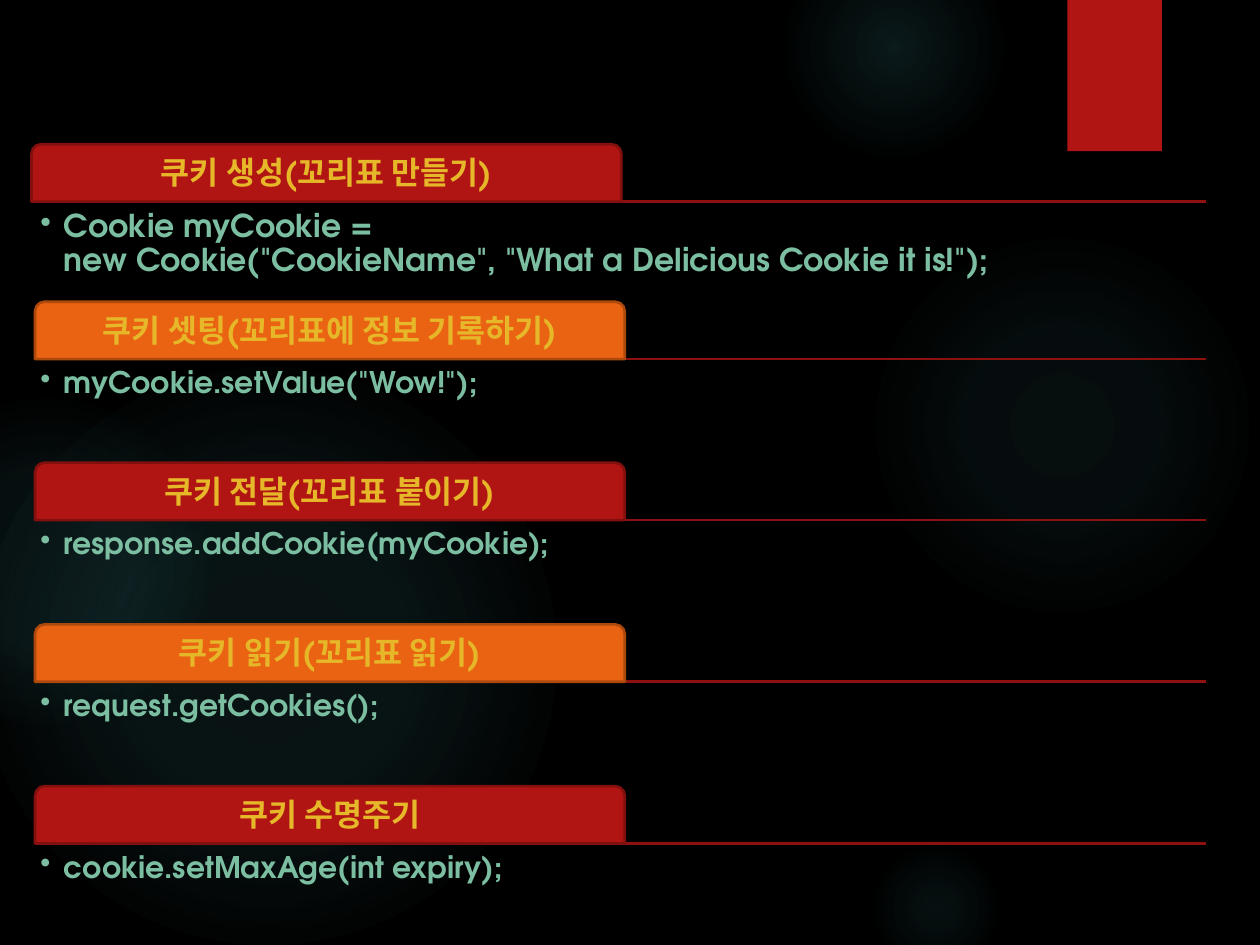
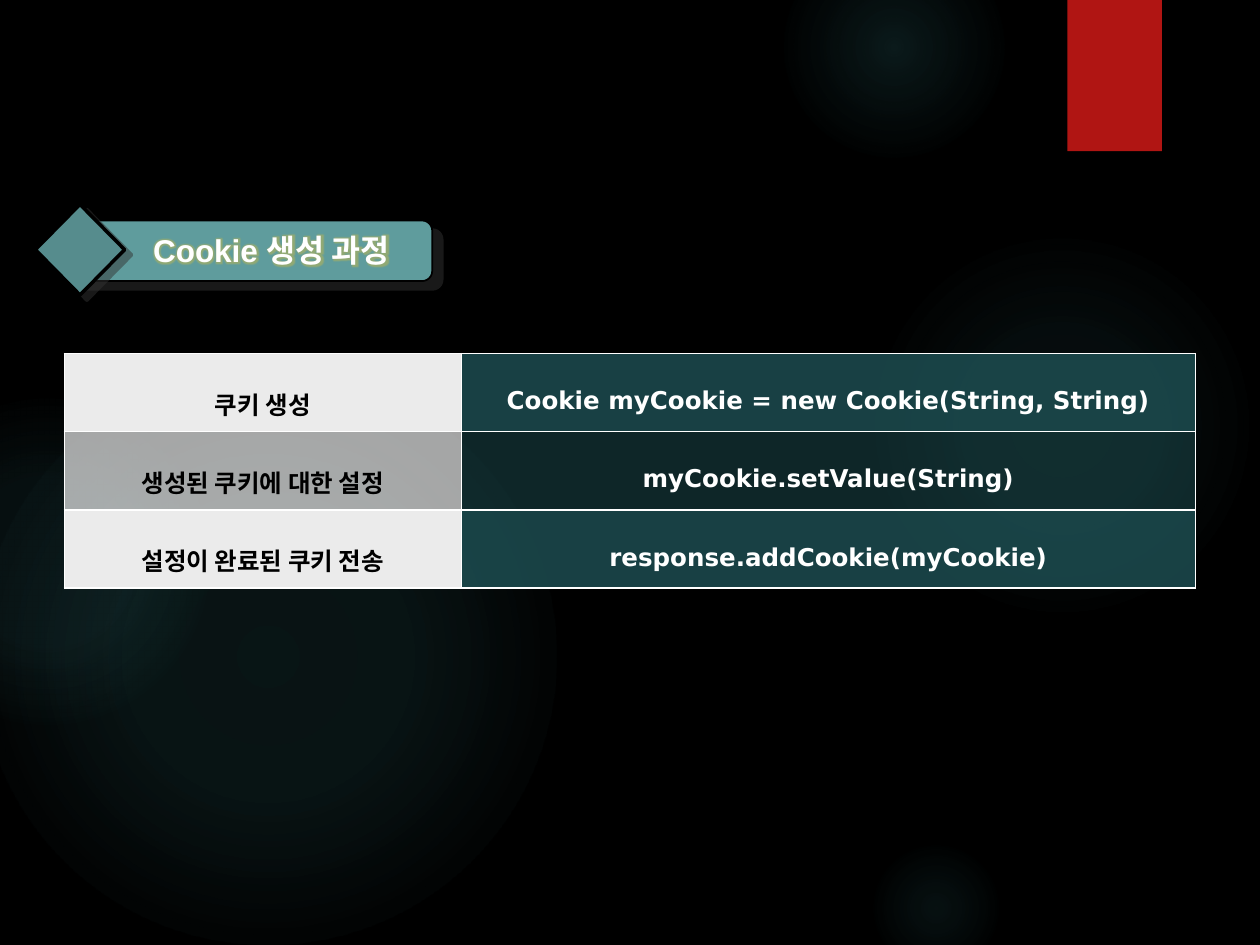
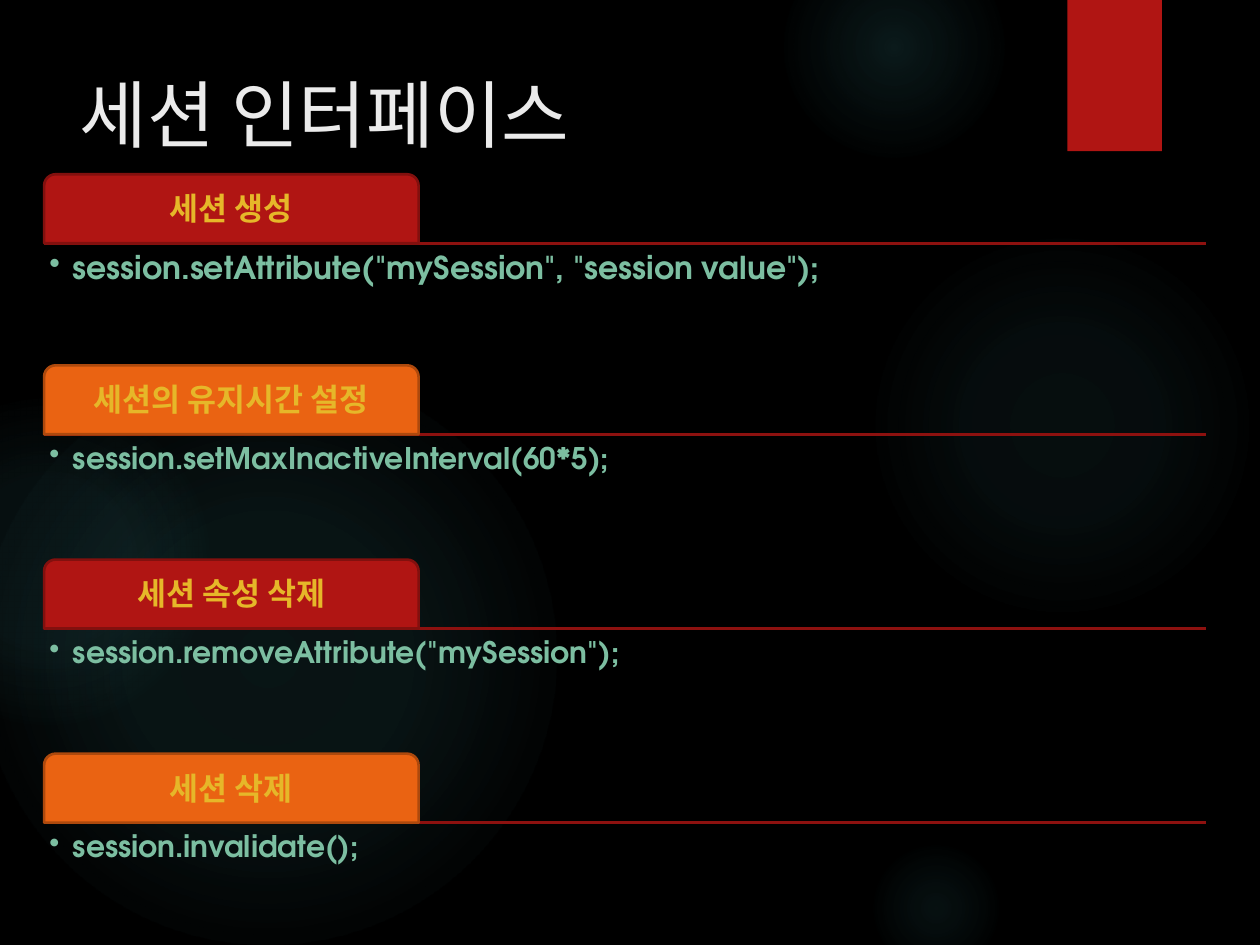
"""Build three dark slides about cookie and session calls."""
from dataclasses import dataclass
from itertools import cycle

from pptx import Presentation
from pptx.dml.color import RGBColor
from pptx.enum.shapes import MSO_CONNECTOR as Connector, MSO_SHAPE as Preset
from pptx.enum.text import MSO_ANCHOR as Anchor, MSO_AUTO_SIZE as AutoSize, PP_ALIGN as Align
from pptx.oxml import parse_xml
from pptx.oxml.ns import nsdecls, qn
from pptx.util import Pt


@dataclass(frozen=True)
class Theme:
    background: str = "000000"
    glow: str = "50B9C1"
    red: str = "B01513"
    red_edge: str = "82100E"
    orange: str = "EA6312"
    orange_edge: str = "AD490D"
    rule: str = "8D110F"
    label: str = "E6B729"
    code: str = "7CBEA1"
    light: str = "EBEBEB"
    white: str = "FFFFFF"
    black: str = "000000"
    teal: str = "1E5155"
    banner: str = "5F9C9D"
    diamond: str = "568C8D"
    shadow: str = "333333"
    text_glow: str = "B4B45A"
    display_font: str = "TeX Gyre Adventor"
    table_font: str = "DejaVu Sans"
    banner_font: str = "Arial"
    title_size: float = 42
    label_size: float = 18
    code_size: float = 17
    table_size: float = 14


THEME = Theme()


@dataclass(frozen=True)
class Box:
    left: float
    top: float
    width: float
    height: float

    def lengths(self) -> tuple:
        return Pt(self.left), Pt(self.top), Pt(self.width), Pt(self.height)


@dataclass(frozen=True)
class Glow:
    left: float
    top: float
    size: float
    stops: tuple


@dataclass(frozen=True)
class Section:
    rule_top: float
    label: str
    code: str
    code_size: float = THEME.code_size
    shift: float = 0


@dataclass(frozen=True)
class SectionGrid:
    left: float
    right: float
    tab_width: float
    tab_height: float
    code_height: float


GLOWS = (
    Glow(496, 132, 222, ((0, 7), (36, 6), (69, 0))),
    Glow(448, -36, 126, ((0, 14), (36, 7), (73, 0))),
    Glow(496, 480, 78, ((0, 9), (36, 5), (66, 0))),
    Glow(-12, 210, 330, ((0, 11), (36, 10), (75, 0))),
    Glow(-66, 228, 186, ((0, 8), (36, 8), (72, 0))),
)
COOKIE_GRID = SectionGrid(20, 689, 337, 32.8, 57.6)
COOKIE_SECTIONS = (
    Section(115.2, "쿠키 생성(꼬리표 만들기)",
            'Cookie myCookie = \vnew Cookie("CookieName", "What a Delicious Cookie it is!");',
            18, -2),
    Section(205.2, "쿠키 셋팅(꼬리표에 정보 기록하기)", 'myCookie.setValue("Wow!");'),
    Section(297.2, "쿠키 전달(꼬리표 붙이기)", "response.addCookie(myCookie);"),
    Section(389.6, "쿠키 읽기(꼬리표 읽기)", "request.getCookies();"),
    Section(482, "쿠키 수명주기", "cookie.setMaxAge(int expiry);"),
)
SESSION_GRID = SectionGrid(25.2, 689, 214, 39.4, 69.8)
SESSION_SECTIONS = (
    Section(139, "세션 생성", 'session.setAttribute("mySession", "session value");', 18),
    Section(248.2, "세션의 유지시간 설정", "session.setMaxInactiveInterval(60*5);"),
    Section(359.2, "세션 속성 삭제", 'session.removeAttribute("mySession");'),
    Section(470.1, "세션 삭제", "session.invalidate();"),
)
STEPS = (
    ("쿠키 생성", "Cookie myCookie = new Cookie(String, String)"),
    ("생성된 쿠키에 대한 설정", "myCookie.setValue(String)"),
    ("설정이 완료된 쿠키 전송", "response.addCookie(myCookie)"),
)


def rgb(color: str) -> RGBColor:
    return RGBColor.from_string(color)


def style_text(para, font: str, size: float, color: str, bold: bool = True) -> None:
    for span in para.runs:
        span.font.name = font
        span.font.size = Pt(size)
        span.font.bold = bold
        span.font.color.rgb = rgb(color)


def set_margins(frame, margin: float) -> None:
    frame.margin_left = frame.margin_right = Pt(margin)
    frame.margin_top = frame.margin_bottom = Pt(margin)


def add_panel(page, preset, box: Box, fill: str, edge: str = "", edge_width: float = 1.5):
    shape = page.shapes.add_shape(preset, *box.lengths())
    shape.shadow.inherit = False
    shape.fill.solid()
    shape.fill.fore_color.rgb = rgb(fill)
    if edge:
        shape.line.color.rgb = rgb(edge)
        shape.line.width = Pt(edge_width)
    else:
        shape.line.fill.background()
    return shape


def add_glow(page, glow: Glow):
    shape = page.shapes.add_shape(Preset.OVAL, *Box(glow.left, glow.top, glow.size, glow.size).lengths())
    shape.shadow.inherit = False
    shape.line.fill.background()
    stops = "".join(
        f'<a:gs pos="{place * 1000}"><a:srgbClr val="{THEME.glow}">'
        f'<a:alpha val="{alpha * 1000}"/></a:srgbClr></a:gs>'
        for place, alpha in glow.stops)
    shape.element.spPr.insert(2, parse_xml(
        f'<a:gradFill {nsdecls("a")}><a:gsLst>{stops}</a:gsLst><a:path path="circle">'
        '<a:fillToRect l="50000" t="50000" r="50000" b="50000"/></a:path></a:gradFill>'))
    return shape


def decorate_master(deck, page) -> None:
    master = deck.slide_master
    master.background.fill.solid()
    master.background.fill.fore_color.rgb = rgb(THEME.background)
    shapes = [add_glow(page, glow) for glow in GLOWS]
    shapes.append(add_panel(page, Preset.RECTANGLE, Box(610, 0, 54, 86.4), THEME.red))
    for number, shape in enumerate(shapes, start=101):
        shape.element.nvSpPr.cNvPr.set("id", str(number))
        master.element.cSld.spTree.append(shape.element)


def add_rule(page, left: float, right: float, top: float) -> None:
    rule = page.shapes.add_connector(Connector.STRAIGHT, Pt(left), Pt(top), Pt(right), Pt(top))
    rule.line.color.rgb = rgb(THEME.rule)
    rule.line.width = Pt(1.5)
    rule.element.spPr.append(parse_xml(f'<a:effectLst {nsdecls("a")}/>'))


def add_tab(page, box: Box, label: str, fill: str, edge: str) -> None:
    tab = add_panel(page, Preset.ROUND_2_SAME_RECTANGLE, box, fill, edge)
    frame = tab.text_frame
    frame.text = label
    frame.word_wrap = True
    frame.vertical_anchor = Anchor.MIDDLE
    set_margins(frame, 3)
    para = frame.paragraphs[0]
    para.alignment = Align.CENTER
    para.line_spacing = 0.9
    style_text(para, THEME.display_font, THEME.label_size, THEME.label)


def add_code(page, box: Box, code: str, size: float) -> None:
    frame = page.shapes.add_textbox(*box.lengths()).text_frame
    frame.word_wrap = True
    set_margins(frame, 3)
    para = frame.paragraphs[0]
    para.text = code
    para.line_spacing = 0.9
    properties = para._p.get_or_add_pPr()
    properties.set("marL", str(Pt(13.5)))
    properties.set("indent", str(Pt(-13.5)))
    properties.append(parse_xml(f'<a:buChar {nsdecls("a")} char="•"/>'))
    style_text(para, THEME.display_font, size, THEME.code)


def add_sections(page, grid: SectionGrid, sections: tuple) -> None:
    for section in sections:
        add_rule(page, grid.left, grid.right, section.rule_top)
    paints = cycle(((THEME.red, THEME.red_edge), (THEME.orange, THEME.orange_edge)))
    for section, (fill, edge) in zip(sections, paints):
        tab_box = Box(grid.left + section.shift, section.rule_top - grid.tab_height,
                      grid.tab_width, grid.tab_height)
        add_tab(page, tab_box, section.label, fill, edge)
        code_box = Box(grid.left, section.rule_top + 2.2, grid.right - grid.left, grid.code_height)
        add_code(page, code_box, section.code, section.code_size)


def fill_cell(cell, text: str, color: str, fill: str, alpha: int) -> None:
    cell.text_frame.text = text
    cell.vertical_anchor = Anchor.MIDDLE
    cell.margin_left = cell.margin_right = Pt(5)
    cell.margin_top = cell.margin_bottom = Pt(1.4)
    para = cell.text_frame.paragraphs[0]
    para.alignment = Align.CENTER
    para.line_spacing = 1.6
    style_text(para, THEME.table_font, THEME.table_size, color)
    cell.fill.solid()
    cell.fill.fore_color.rgb = rgb(fill)
    properties = cell._tc.get_or_add_tcPr()
    paint = properties.find(qn("a:solidFill")).find(qn("a:srgbClr"))
    paint.append(parse_xml(f'<a:alpha {nsdecls("a")} val="{alpha * 1000}"/>'))
    for place, side in enumerate("LRTB"):
        properties.insert(place, parse_xml(
            f'<a:ln{side} {nsdecls("a")} w="{Pt(1)}"><a:solidFill>'
            f'<a:srgbClr val="{THEME.white}"/></a:solidFill></a:ln{side}>'))


def add_steps(page) -> None:
    box = Box(36.8, 202, 646.4, 134.1)
    table = page.shapes.add_table(len(STEPS), 2, *box.lengths()).table
    table.first_row = table.horz_banding = False
    for column, width in zip(table.columns, (226.8, 419.6)):
        column.width = Pt(width)
    for index, (step, call) in enumerate(STEPS):
        table.rows[index].height = Pt(box.height / len(STEPS))
        step_alpha, call_alpha = (70, 48) if index % 2 else (100, 80)
        fill_cell(table.cell(index, 0), step, THEME.black, THEME.light, step_alpha)
        fill_cell(table.cell(index, 1), call, THEME.white, THEME.teal, call_alpha)


def add_shadow(shape, distance: float, angle: int) -> None:
    shape.element.spPr.find(qn("a:effectLst")).append(parse_xml(
        f'<a:outerShdw {nsdecls("a")} dist="{Pt(distance)}" dir="{angle * 60000}" algn="ctr" '
        f'rotWithShape="0"><a:srgbClr val="{THEME.shadow}"><a:alpha val="50000"/>'
        '</a:srgbClr></a:outerShdw>'))


def add_banner(page, heading: str) -> None:
    plate = add_panel(page, Preset.ROUNDED_RECTANGLE, Box(38.2, 126, 208.8, 34.6),
                      THEME.banner, THEME.black, 1)
    add_shadow(plate, 7.8, 40)
    diamond = add_panel(page, Preset.DIAMOND, Box(20.2, 116.8, 51, 51.8),
                        THEME.diamond, THEME.black, 2)
    add_shadow(diamond, 5, 37)
    frame = page.shapes.add_textbox(*Box(58.3, 128.2, 193.7, 28.8).lengths()).text_frame
    frame.word_wrap = True
    para = frame.paragraphs[0]
    para.text = heading
    para.alignment = Align.CENTER
    style_text(para, THEME.banner_font, THEME.label_size, THEME.white)
    fill = para.runs[0]._r.get_or_add_rPr().find(qn("a:solidFill"))
    fill.addnext(parse_xml(
        f'<a:effectLst {nsdecls("a")}><a:glow rad="{Pt(5)}"><a:srgbClr val="{THEME.text_glow}">'
        '<a:alpha val="60000"/></a:srgbClr></a:glow></a:effectLst>'))


def set_title(page, text: str) -> None:
    title = page.shapes.title
    title.left, title.top, title.width, title.height = Box(38.2, 36, 555.8, 110.2).lengths()
    frame = title.text_frame
    frame.text = text
    frame.auto_size = AutoSize.NONE
    frame.vertical_anchor = Anchor.TOP
    para = frame.paragraphs[0]
    para.alignment = Align.LEFT
    style_text(para, THEME.display_font, THEME.title_size, THEME.light, bold=False)


def main() -> None:
    deck = Presentation()
    deck.slide_width, deck.slide_height = Pt(720), Pt(540)
    title_only, blank = deck.slide_layouts[5], deck.slide_layouts[6]

    cookie_page = deck.slides.add_slide(blank)
    decorate_master(deck, cookie_page)
    add_sections(cookie_page, COOKIE_GRID, COOKIE_SECTIONS)

    steps_page = deck.slides.add_slide(blank)
    add_steps(steps_page)
    add_banner(steps_page, "Cookie 생성 과정")

    session_page = deck.slides.add_slide(title_only)
    set_title(session_page, "세션 인터페이스")
    add_sections(session_page, SESSION_GRID, SESSION_SECTIONS)

    deck.save("out.pptx")


if __name__ == "__main__":
    main()
